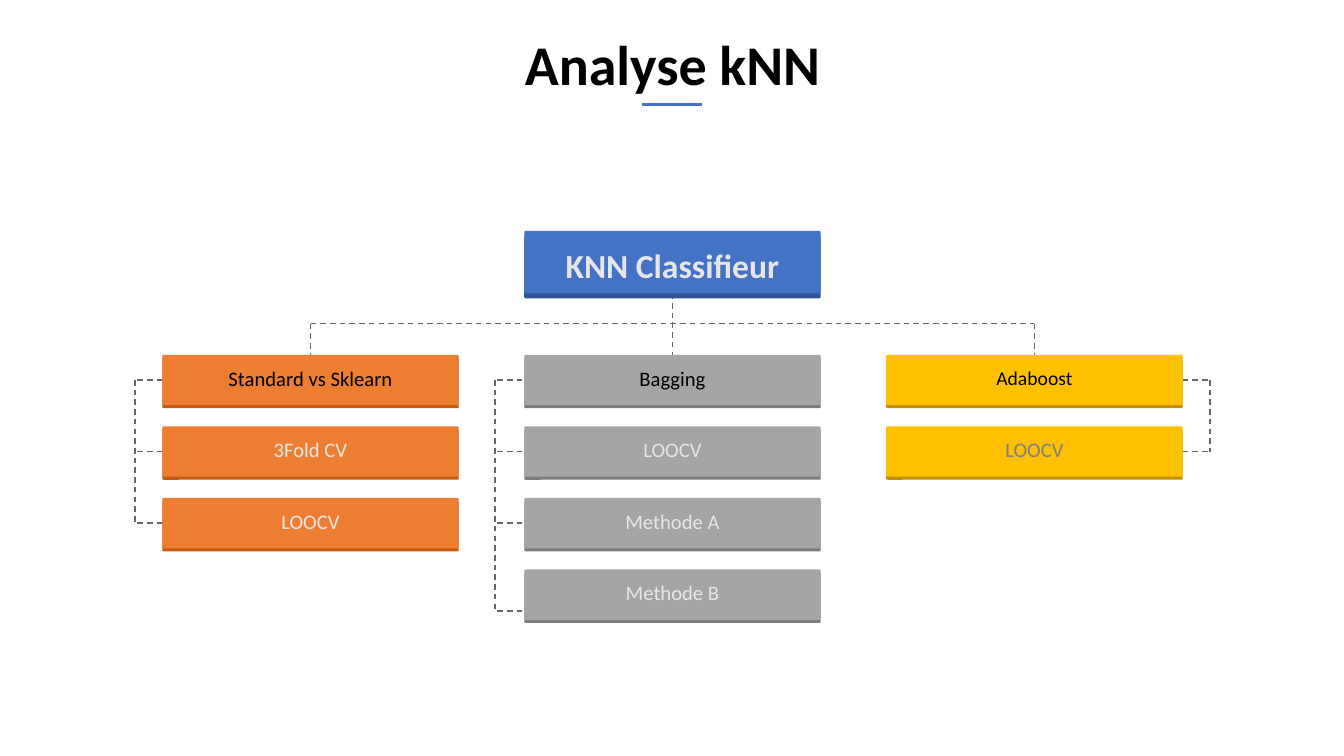
from pptx import Presentation
from pptx.dml.color import RGBColor
from pptx.enum.dml import MSO_LINE_DASH_STYLE as Dash
from pptx.enum.shapes import MSO_CONNECTOR as Connector, MSO_SHAPE as Shape
from pptx.enum.text import MSO_ANCHOR as Anchor, PP_ALIGN as Align
from pptx.oxml.ns import qn
from pptx.util import Inches, Pt
from lxml import etree


def color(value):
    return RGBColor.from_string(value)


class Diagram:
    """Holds the style and the current slide."""
    font = "Calibri"
    line_color = "666666"

    def __init__(self, slide):
        self.slide = slide

    def label(self, frame, text, size, text_color, bold=False, **insets):
        margins = dict(margin_left=0, margin_right=0, margin_top=0, margin_bottom=0)
        margins.update({name: Inches(value) for name, value in insets.items()})
        for name, value in {"word_wrap": True, "vertical_anchor": Anchor.MIDDLE, **margins}.items():
            setattr(frame, name, value)
        paragraph = frame.paragraphs[0]
        paragraph.alignment = Align.CENTER
        run = paragraph.add_run()
        run.text = text
        for name, value in {"name": self.font, "size": Pt(size), "bold": bold}.items():
            setattr(run.font, name, value)
        run.font.color.rgb = color(text_color)
        return paragraph

    def title(self, text):
        title = self.slide.shapes.title
        bounds = {"left": 0.92, "top": 0.2, "width": 11.5, "height": 0.94}
        for name, value in bounds.items():
            setattr(title, name, Inches(value))
        self.label(title.text_frame, text, 40, "000000", True).line_spacing = 0.9

    def line(self, x1, y1, x2, y2, line_color=line_color, width=1, dash=Dash.DASH):
        connector = self.slide.shapes.add_connector(
            Connector.STRAIGHT, Inches(x1), Inches(y1), Inches(x2), Inches(y2))
        connector.line.color.rgb = color(line_color)
        connector.line.width = Pt(width)
        connector.line.dash_style = dash
        etree.SubElement(connector._element.spPr, qn("a:effectLst"))

    def bar(self, x, y, width, height, fill):
        bar = self.slide.shapes.add_shape(
            Shape.ROUNDED_RECTANGLE, Inches(x), Inches(y), Inches(width), Inches(height))
        bar.adjustments[0] = 0.027
        bar.shadow.inherit = False
        bar.fill.solid()
        bar.fill.fore_color.rgb = color(fill)
        bar.line.fill.background()
        return bar

    def box(self, x, y, height, edge, fills, text, size, text_color, bold=False, **insets):
        face, base = fills
        self.bar(x, y + edge, BOX_WIDTH, height, base)
        front = self.bar(x, y, BOX_WIDTH, height, face)
        self.label(front.text_frame, text, size, text_color, bold, **insets)


# Grid of the tree
BOX_WIDTH, BOX_HEIGHT = 2.94, 0.5
LEFT, COLUMN_STEP = 1.61, 3.59
TOP, ROW_STEP = 3.52, 0.71
BRANCH_Y, STUB = 3.21, 0.27
LIGHT, BLACK = "E7E6E6", "000000"

# Each column: fills, rail x, stub direction, head size, item colour, labels
columns = [
    (("ED7D31", "C55A11"), 1.34, 1, 14.7, LIGHT, ["Standard vs Sklearn", "3Fold CV", "LOOCV"]),
    (("A5A5A5", "7C7C7C"), 4.91, 1, 14.7, LIGHT, ["Bagging", "LOOCV", "Methode A", "Methode B"]),
    (("FFC000", "BF9000"), 12, -1, 14, "808080", ["Adaboost", "LOOCV"]),
]

presentation = Presentation()
presentation.slide_width, presentation.slide_height = Inches(13.33), Inches(7.5)
diagram = Diagram(presentation.slides.add_slide(presentation.slide_layouts[5]))

# Title and its accent
diagram.title("Analyse kNN")
diagram.line(6.37, 1.04, 6.96, 1.04, "4472C4", 2, Dash.SOLID)

# Trunk and branches
centers = [LEFT + COLUMN_STEP * i + BOX_WIDTH / 2 for i in range(len(columns))]
diagram.line(centers[1], 2.91, centers[1], TOP)
diagram.line(centers[0], BRANCH_Y, centers[-1], BRANCH_Y)
for x in (centers[0], centers[-1]):
    diagram.line(x, BRANCH_Y, x, TOP)

# Root
diagram.box(centers[1] - BOX_WIDTH / 2, 2.29, 0.62, 0.05, ("4472C4", "2F5597"),
            "KNN Classifieur", 24, LIGHT, True, margin_top=0.05)

# Columns with their side rails
for column, (fills, rail, direction, head_size, item_color, labels) in enumerate(columns):
    tops = [TOP + ROW_STEP * row for row in range(len(labels))]
    stubs = [top + BOX_HEIGHT / 2 for top in tops]
    if len(stubs) == 4:
        stubs[-1] = 6.06  # the last stub sits low on its box
    diagram.line(rail, stubs[0], rail, stubs[-1])
    for y in stubs:
        diagram.line(rail + direction * STUB, y, rail, y)
    for row, (top, label) in enumerate(zip(tops, labels)):
        size, text_color = (14.7, item_color) if row else (head_size, BLACK)
        diagram.box(LEFT + COLUMN_STEP * column, top, BOX_HEIGHT, 0.03, fills,
                    label, size, text_color, margin_bottom=0.04)

presentation.save("out.pptx")
